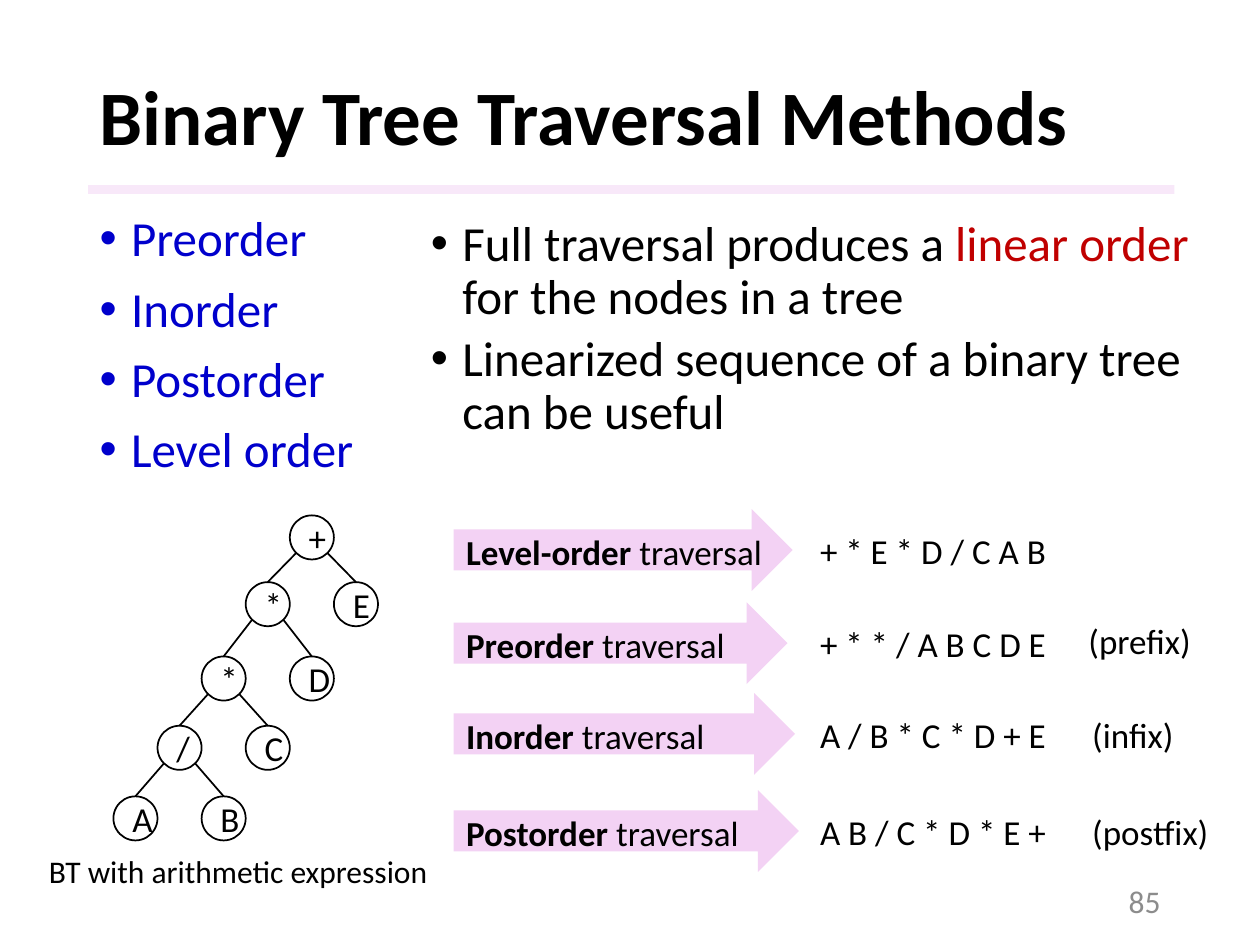
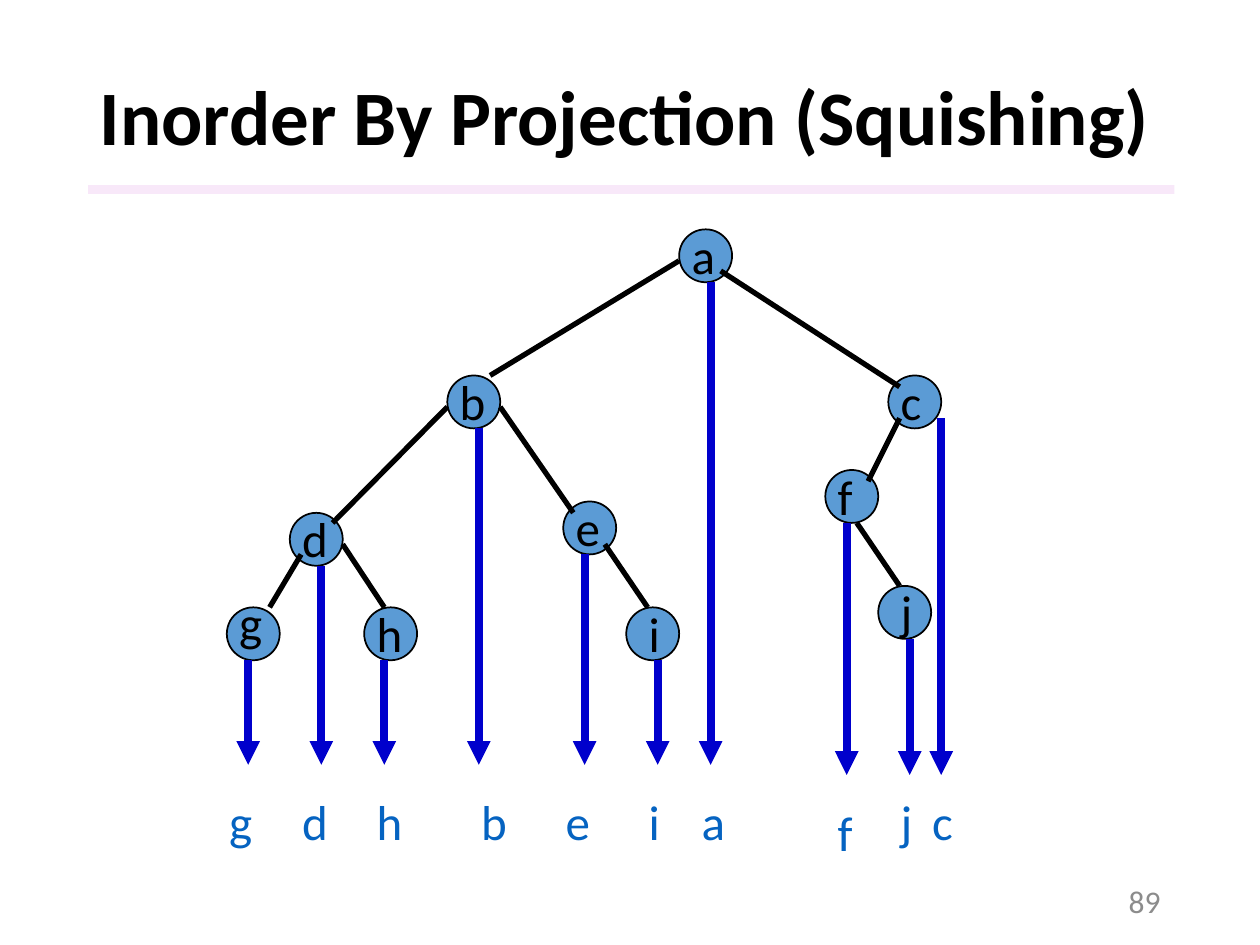
from dataclasses import dataclass
from typing import Any, NamedTuple, Optional

from lxml.etree import SubElement
from pptx import Presentation
from pptx.dml.color import RGBColor
from pptx.enum.shapes import MSO_CONNECTOR, MSO_SHAPE
from pptx.enum.text import MSO_ANCHOR, MSO_AUTO_SIZE, PP_ALIGN
from pptx.oxml.ns import qn
from pptx.util import Inches, Pt


@dataclass(frozen=True)
class Theme:
    font: str = "Calibri"
    black: str = "000000"
    blue: str = "0000CC"
    red: str = "C00000"
    grey: str = "8C8C8C"
    pink: str = "F3D2F4"
    node: str = "5B9BD5"
    landing: str = "0563C1"
    title: int = 44
    body: int = 28
    label: int = 20
    small: int = 18


class Box(NamedTuple):
    left: float
    top: float
    width: float
    height: float


class Point(NamedTuple):
    x: float
    y: float


class Run(NamedTuple):
    text: str
    color: str
    bold: bool = False


class TreeNode(NamedTuple):
    text: str
    column: int
    row: int
    parent: Optional[int] = None


class Traversal(NamedTuple):
    name: str
    top: float
    arrow_width: float
    label_width: float
    order: str


class Notation(NamedTuple):
    text: str
    left: float
    top: float
    width: float


class Projected(NamedTuple):
    text: str
    left: float
    top: float
    drop_x: float
    landing_left: float
    label_dx: float = 0
    label_dy: float = -0.08
    drop_top: Optional[float] = None
    drop_end: float = 6.07
    landing_top: float = 6.23


T = Theme()

TITLE = Box(0.69, 0.4, 8.62, 1.11)
RULE = Box(0.7, 1.47, 8.62, 0.07)
PAGE = Box(7.06, 6.95, 2.25, 0.4)

TREE_LEFT, TREE_STEP, TREE_SIZE = 0.9, 0.35, 0.35
TREE_ROWS = (4.09, 4.62, 5.21, 5.76, 6.32)
EXPRESSION = (
    TreeNode("+", 4, 0),
    TreeNode("*", 3, 1, 0),
    TreeNode("E", 5, 1, 0),
    TreeNode("*", 2, 2, 1),
    TreeNode("D", 4, 2, 1),
    TreeNode("/", 1, 3, 3),
    TreeNode("C", 3, 3, 3),
    TreeNode("A", 0, 4, 5),
    TreeNode("B", 2, 4, 5),
)
TRAVERSALS = (
    Traversal("Level-order", 4.04, 2.69, 2.58, "+ * E * D / C A B"),
    Traversal("Preorder", 4.78, 2.65, 2.28, "+ * * / A B C D E"),
    Traversal("Inorder", 5.5, 2.71, 2.12, "A / B * C * D + E"),
    Traversal("Postorder", 6.27, 2.74, 2.39, "A B / C * D * E +"),
)
NOTATIONS = (
    Notation("(prefix)", 8.54, 4.87, 1.02),
    Notation("(infix)", 8.57, 5.61, 0.86),
    Notation("(postfix)", 8.57, 6.38, 1.14),
)

NODE_SIZE = 0.42
PROJECTED = (
    Projected("g", 1.8, 4.82, 1.97, 1.72, label_dy=-0.17),
    Projected("d", 2.3, 4.07, 2.55, 2.3),
    Projected("h", 2.89, 4.82, 3.05, 2.89),
    Projected("b", 3.55, 2.98, 3.8, 3.72),
    Projected("e", 4.47, 3.98, 4.64, 4.39),
    Projected("i", 4.97, 4.82, 5.22, 5.05, label_dx=0.08),
    Projected("a", 5.39, 1.82, 5.64, 5.47),
    Projected("f", 6.55, 3.73, 6.72, 6.55, drop_end=6.15, landing_top=6.32),
    Projected("j", 6.97, 4.65, 7.22, 7.05, label_dx=0.08, drop_end=6.15),
    Projected("c", 7.05, 2.98, 7.47, 7.3, drop_top=3.32, drop_end=6.15),
)
BRANCHES = (
    (Point(5.39, 2.07), Point(3.89, 2.98)),
    (Point(5.72, 2.15), Point(7.14, 3.07)),
    (Point(3.55, 3.23), Point(2.64, 4.15)),
    (Point(3.97, 3.23), Point(4.55, 4.07)),
    (Point(2.39, 4.4), Point(2.14, 4.82)),
    (Point(2.72, 4.32), Point(3.05, 4.82)),
    (Point(4.8, 4.32), Point(5.14, 4.82)),
    (Point(7.14, 3.32), Point(6.89, 3.82)),
    (Point(6.8, 4.15), Point(7.14, 4.65)),
)


def apply(target: Any, **values: Any) -> None:
    for name, value in values.items():
        setattr(target, name, value)


def lengths(values: tuple) -> list:
    return [Inches(value) for value in values]


def write(p: Any, runs: list[Run], size: int, **paragraph_format: Any) -> None:
    apply(p, **paragraph_format)
    for run in runs:
        r = p.add_run()
        r.text = run.text
        apply(r.font, name=T.font, size=Pt(size), bold=run.bold)
        r.font.color.rgb = RGBColor.from_string(run.color)


def place(sp: Any, box: Box) -> None:
    apply(sp, **dict(zip(("left", "top", "width", "height"), lengths(box))))


def add_text(s: Any, box: Box, runs: list[Run], size: int, wrap: bool = False,
             anchor: Any = MSO_ANCHOR.TOP, align: Any = PP_ALIGN.LEFT) -> None:
    tf = s.shapes.add_textbox(*lengths(box)).text_frame
    apply(tf, word_wrap=wrap, vertical_anchor=anchor,
          auto_size=MSO_AUTO_SIZE.SHAPE_TO_FIT_TEXT)
    write(tf.paragraphs[0], runs, size, alignment=align)


def add_shape(s: Any, kind: Any, box: Box, fill: Optional[str] = None,
              outlined: bool = False) -> Any:
    sp = s.shapes.add_shape(kind, *lengths(box))
    sp.shadow.inherit = False
    if fill:
        sp.fill.solid()
        sp.fill.fore_color.rgb = RGBColor.from_string(fill)
    else:
        sp.fill.background()
    if outlined:
        sp.line.color.rgb = RGBColor.from_string(T.black)
        sp.line.width = Pt(1)
    else:
        sp.line.fill.background()
    return sp


def add_line(s: Any, start: Point, end: Point, color: str, width: float,
             arrow: bool = False) -> Any:
    line = s.shapes.add_connector(MSO_CONNECTOR.STRAIGHT, *lengths(start + end))
    line.line.color.rgb = RGBColor.from_string(color)
    line.line.width = Pt(width)
    properties = line.element.spPr
    if arrow:
        SubElement(properties.find(qn("a:ln")), qn("a:tailEnd"), type="triangle")
    SubElement(properties, qn("a:effectLst"))
    return line


def add_bullets(sp: Any, box: Box, items: list[list[Run]], gap: float) -> None:
    place(sp, box)
    tf = sp.text_frame
    tf.auto_size = MSO_AUTO_SIZE.NONE
    for index, runs in enumerate(items):
        p = tf.add_paragraph() if index else tf.paragraphs[0]
        properties = p._p.get_or_add_pPr()
        properties.set("marL", str(Inches(0.25)))
        properties.set("indent", str(Inches(-0.25)))
        SubElement(properties, qn("a:buFont"), typeface="Arial")
        SubElement(properties, qn("a:buChar"), char="•")
        write(p, runs, T.body, line_spacing=0.9,
              space_before=Pt(gap if index else 0))


def start_slide(prs: Any, layout: int, title: str, page: str) -> Any:
    s = prs.slides.add_slide(prs.slide_layouts[layout])
    rule = add_shape(s, MSO_SHAPE.RECTANGLE, RULE, T.pink)
    color = rule.element.spPr.find(".//" + qn("a:srgbClr"))
    SubElement(color, qn("a:alpha"), val="50000")
    place(s.shapes.title, TITLE)
    tf = s.shapes.title.text_frame
    apply(tf, auto_size=MSO_AUTO_SIZE.NONE, vertical_anchor=MSO_ANCHOR.MIDDLE)
    write(tf.paragraphs[0], [Run(title, T.black, True)], T.title,
          alignment=PP_ALIGN.LEFT, line_spacing=0.9)
    add_text(s, PAGE, [Run(page, T.grey)], T.small, True,
             MSO_ANCHOR.MIDDLE, PP_ALIGN.RIGHT)
    return s


def add_expression_tree(s: Any) -> None:
    circles = []
    for node in EXPRESSION:
        box = Box(TREE_LEFT + node.column * TREE_STEP, TREE_ROWS[node.row],
                  TREE_SIZE, TREE_SIZE)
        sp = add_shape(s, MSO_SHAPE.OVAL, box, outlined=True)
        sp.text_frame.vertical_anchor = MSO_ANCHOR.MIDDLE
        write(sp.text_frame.paragraphs[0], [Run(node.text, T.black)], T.label,
              alignment=PP_ALIGN.CENTER)
        circles.append((sp, box))
    for node, (sp, box) in zip(EXPRESSION, circles):
        if node.parent is None:
            continue
        parent = circles[node.parent][1]
        offset = 0.05 if box.left < parent.left else 0.3
        line = add_line(s, Point(parent.left + offset, parent.top + 0.3),
                        Point(box.left + TREE_SIZE / 2, box.top), T.black, 1)
        line.end_connect(sp, 0)
    add_text(s, Box(0.29, 6.71, 3.24, 0.4),
             [Run("BT with arithmetic expression", T.black)], T.small)


def add_traversals(s: Any) -> None:
    for row in TRAVERSALS:
        add_shape(s, MSO_SHAPE.RIGHT_ARROW,
                  Box(3.6, row.top, row.arrow_width, 0.65), T.pink)
        add_text(s, Box(3.6, row.top + 0.12, row.label_width, 0.44),
                 [Run(row.name, T.black, True), Run(" traversal", T.black)], T.label)
        add_text(s, Box(6.41, row.top + 0.11, 2.01, 0.44),
                 [Run(row.order, T.black)], T.label)
    for note in NOTATIONS:
        add_text(s, Box(note.left, note.top, note.width, 0.44),
                 [Run(note.text, T.black)], T.label)


def build_methods(prs: Any) -> None:
    s = start_slide(prs, 3, "Binary Tree Traversal Methods", "85")
    methods = ("Preorder", "Inorder", "Postorder", "Level order")
    add_bullets(s.placeholders[1], Box(0.69, 1.65, 8.62, 2.37),
                [[Run(method, T.blue)] for method in methods], 10)
    add_bullets(s.placeholders[2], Box(3.32, 1.69, 6.28, 1.84), [
        [Run("Full traversal produces a ", T.black), Run("linear order ", T.red),
         Run("for the nodes in a tree", T.black)],
        [Run("Linearized sequence of a binary tree can be useful", T.black)],
    ], 5)
    add_expression_tree(s)
    add_traversals(s)


def build_projection(prs: Any) -> None:
    s = start_slide(prs, 5, "Inorder By Projection (Squishing)", "89")
    for node in PROJECTED:
        add_shape(s, MSO_SHAPE.OVAL, Box(node.left, node.top, NODE_SIZE, NODE_SIZE),
                  T.node, outlined=True)
    for start, end in BRANCHES:
        add_line(s, start, end, T.black, 3)
    for node in PROJECTED:
        add_text(s, Box(node.left + node.label_dx, node.top + node.label_dy, 0.83, 0.57),
                 [Run(node.text, T.black)], T.body, True)
        add_text(s, Box(node.landing_left, node.landing_top, NODE_SIZE, 0.57),
                 [Run(node.text, T.landing)], T.body, True)
        drop_top = node.drop_top or node.top + NODE_SIZE
        add_line(s, Point(node.drop_x, drop_top), Point(node.drop_x, node.drop_end),
                 T.blue, 4.5, arrow=True)


def main() -> None:
    prs = Presentation()
    apply(prs, slide_width=Inches(10), slide_height=Inches(7.5))
    build_methods(prs)
    build_projection(prs)
    prs.save("out.pptx")


if __name__ == "__main__":
    main()
